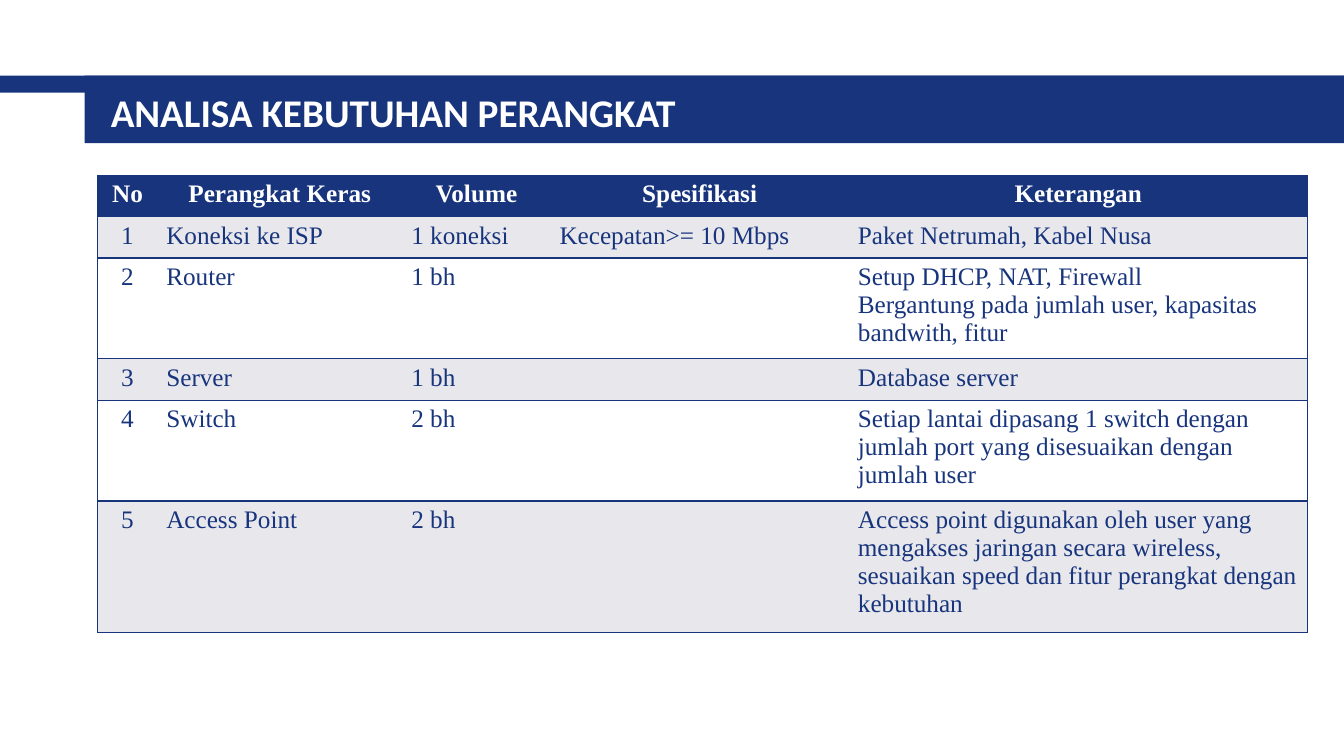
from lxml import etree
from pptx import Presentation
from pptx.dml.color import RGBColor
from pptx.enum.shapes import MSO_SHAPE
from pptx.enum.text import MSO_ANCHOR, PP_ALIGN
from pptx.oxml.ns import qn
from pptx.util import Inches, Pt

RECT = MSO_SHAPE.RECTANGLE
MIDDLE = MSO_ANCHOR.MIDDLE
LEFT, CENTER = PP_ALIGN.LEFT, PP_ALIGN.CENTER

COLORS = {"navy": "17347D", "white": "FFFFFF", "band": "E8E8EC"}
TITLE_FONT = {"name": "Calibri", "size": Pt(28), "bold": True}
HEAD_FONT = {"name": "Times New Roman", "size": Pt(18), "bold": True}
BODY_FONT = {**HEAD_FONT, "bold": False}

COL_WIDTHS = [0.59, 2.43, 1.47, 2.96, 4.55]
ROW_HEIGHT = 0.41
ROWS = [
    ["No", "Perangkat Keras", "Volume", "Spesifikasi", "Keterangan"],
    ["1", "Koneksi ke ISP", "1 koneksi", "Kecepatan>= 10 Mbps",
     "Paket Netrumah, Kabel Nusa"],
    ["2", "Router", "1 bh", "",
     "Setup DHCP, NAT, Firewall\n"
     "Bergantung pada jumlah user, kapasitas bandwith, fitur"],
    ["3", "Server", "1 bh", "", "Database server"],
    ["4", "Switch", "2 bh", "",
     "Setiap lantai dipasang 1 switch dengan jumlah port yang "
     "disesuaikan dengan jumlah user"],
    ["5", "Access Point", "2 bh", "",
     "Access point digunakan oleh user yang mengakses jaringan secara "
     "wireless, sesuaikan speed dan fitur perangkat dengan kebutuhan"],
]


def rgb(name):
    return RGBColor.from_string(COLORS[name])


def set_font(font, fmt, color):
    for key, value in fmt.items():
        setattr(font, key, value)
    font.color.rgb = rgb(color)


def add_bar(s, x, y, w, h):
    bar = s.shapes.add_shape(RECT, Inches(x), Inches(y), Inches(w), Inches(h))
    bar.shadow.inherit = False
    bar.fill.solid()
    bar.fill.fore_color.rgb = rgb("navy")
    bar.line.fill.background()


def add_title(s, text, x, y, w, h):
    tf = s.shapes.add_textbox(Inches(x), Inches(y), Inches(w), Inches(h)).text_frame
    tf.word_wrap = True
    tf.vertical_anchor = MIDDLE
    r = tf.paragraphs[0].add_run()
    r.text = text
    set_font(r.font, TITLE_FONT, "white")


def set_borders(cell, visible):
    """Draw the sides named in visible and clear the others."""
    tc_pr = cell._tc.get_or_add_tcPr()
    for i, side in enumerate("LRTB"):
        ln = etree.Element(qn(f"a:ln{side}"), w=str(Pt(1)))
        if side in visible:
            fill = etree.SubElement(ln, qn("a:solidFill"))
            etree.SubElement(fill, qn("a:srgbClr"), val=COLORS["navy"])
        else:
            etree.SubElement(ln, qn("a:noFill"))
        tc_pr.insert(i, ln)


def fill_cell(cell, text, fmt, color, fill, align):
    cell.margin_left = cell.margin_right = Inches(0.09)
    cell.margin_top = cell.margin_bottom = Inches(0.05)
    cell.fill.solid()
    cell.fill.fore_color.rgb = rgb(fill)
    cell.text = text
    for p in cell.text_frame.paragraphs:
        p.alignment = align
        set_font(p.font, fmt, color)
        for r in p.runs:
            set_font(r.font, fmt, color)


def add_device_table(s, x, y):
    table = s.shapes.add_table(
        len(ROWS), len(COL_WIDTHS), Inches(x), Inches(y),
        Inches(sum(COL_WIDTHS)), Inches(ROW_HEIGHT * len(ROWS))).table
    for column, width in zip(table.columns, COL_WIDTHS):
        column.width = Inches(width)
    last = len(COL_WIDTHS) - 1
    for i, row in enumerate(ROWS):
        for j, text in enumerate(row):
            cell = table.cell(i, j)
            if i == 0:
                fill_cell(cell, text, HEAD_FONT, "white", "navy", CENTER)
            else:
                fill_cell(cell, text, BODY_FONT, "navy",
                          "band" if i % 2 else "white",
                          CENTER if j == 0 else LEFT)
            set_borders(cell, "TB" + {0: "L", last: "R"}.get(j, ""))


def main():
    prs = Presentation()
    prs.slide_width, prs.slide_height = Inches(13.33), Inches(7.5)
    s = prs.slides.add_slide(prs.slide_layouts[6])

    # Title band
    add_bar(s, 0, 0.75, 13.33, 0.17)
    add_bar(s, 0.84, 0.75, 12.49, 0.67)
    add_title(s, "ANALISA KEBUTUHAN PERANGKAT", 1, 0.8, 11.89, 0.62)

    # Device requirements
    add_device_table(s, 0.97, 1.74)

    prs.save("out.pptx")


if __name__ == "__main__":
    main()
